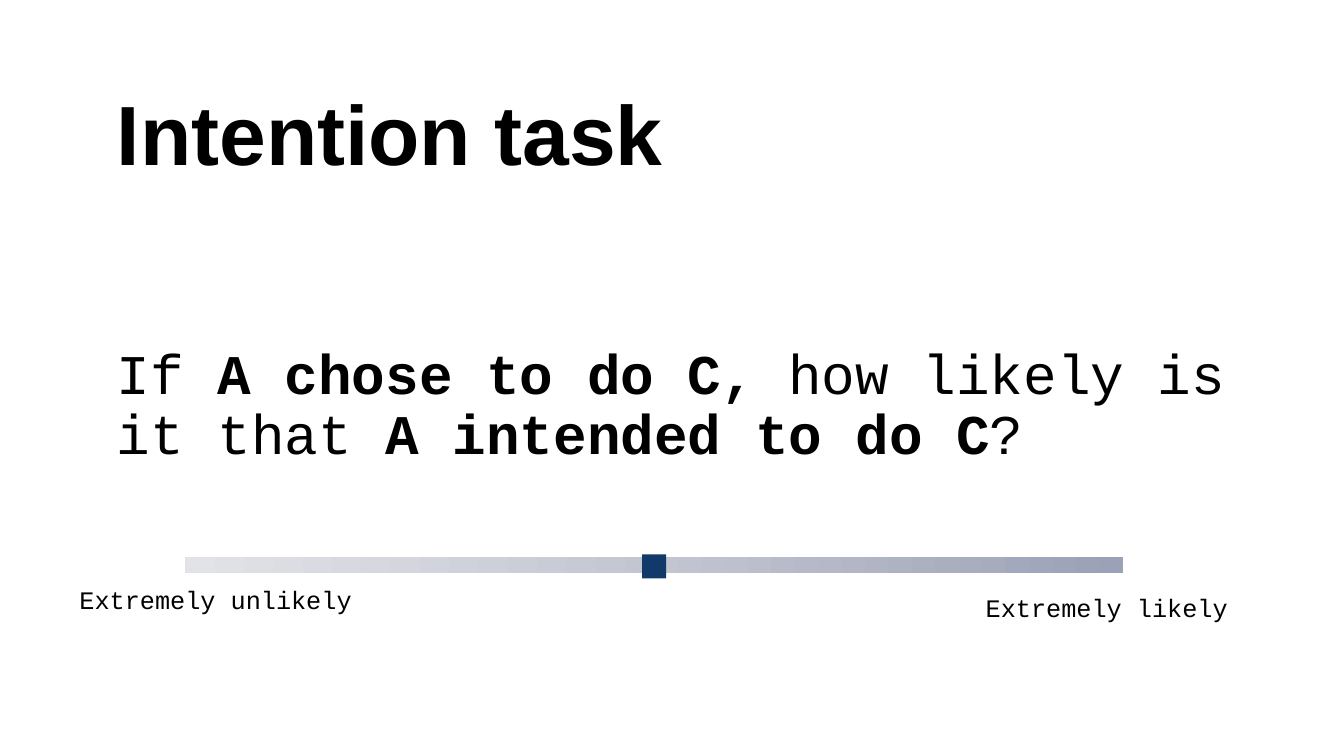
from copy import deepcopy
from dataclasses import dataclass

from pptx import Presentation
from pptx.dml.color import RGBColor
from pptx.enum.shapes import MSO_SHAPE
from pptx.enum.text import MSO_ANCHOR
from pptx.util import Inches, Pt


@dataclass(frozen=True)
class Theme:
    heading_font: str = "Arial"
    body_font: str = "Courier New"
    heading_size: int = 60
    question_size: int = 40
    label_size: int = 18
    text: str = "000000"
    background: str = "FFFFFF"
    marker: str = "113A6B"
    scale: tuple = ("9BA1B6", "C3C6D1", "E2E3E8")


def add_text(paragraph, text, *, font, size, color, bold=False):
    run = paragraph.add_run()
    run.text = text
    run.font.name = font
    run.font.size = Pt(size)
    run.font.bold = bold
    run.font.color.rgb = RGBColor.from_string(color)


class SlideBuilder:
    columns = 100
    rows = 100

    def __init__(self, presentation, theme):
        self.theme = theme
        self.column = presentation.slide_width / self.columns
        self.row = presentation.slide_height / self.rows
        self.slide = presentation.slides.add_slide(presentation.slide_layouts[6])
        background = self.slide.background.fill
        background.solid()
        background.fore_color.rgb = RGBColor.from_string(theme.background)

    def place(self, left, top, width, height):
        return (round(left * self.column), round(top * self.row),
                round(width * self.column), round(height * self.row))

    def text_box(self, area, pieces, *, font, size,
                 anchor=MSO_ANCHOR.BOTTOM, line_spacing=0.9):
        frame = self.slide.shapes.add_textbox(*self.place(*area)).text_frame
        frame.word_wrap = True
        frame.vertical_anchor = anchor
        paragraph = frame.paragraphs[0]
        paragraph.line_spacing = line_spacing
        for text, bold in pieces:
            add_text(paragraph, text, font=font, size=size,
                     color=self.theme.text, bold=bold)

    def rectangle(self, area):
        shape = self.slide.shapes.add_shape(MSO_SHAPE.RECTANGLE, *self.place(*area))
        shape.shadow.inherit = False
        shape.line.fill.background()
        return shape

    def solid_rectangle(self, area, color):
        fill = self.rectangle(area).fill
        fill.solid()
        fill.fore_color.rgb = RGBColor.from_string(color)

    def gradient_rectangle(self, area, colors, angle):
        shape = self.rectangle(area)
        shape.fill.gradient()
        shape.fill.gradient_angle = angle
        last_stop = shape._element.xpath(".//a:gs")[-1]
        for _ in colors[2:]:
            last_stop.addnext(deepcopy(last_stop))
        for index, stop in enumerate(shape.fill.gradient_stops):
            stop.position = index / (len(colors) - 1)
            stop.color.rgb = RGBColor.from_string(colors[index])


def main():
    presentation = Presentation()
    presentation.slide_width = Inches(13.33)
    presentation.slide_height = Inches(7.5)
    theme = Theme()
    builder = SlideBuilder(presentation, theme)

    question = [
        ("If", False),
        (" A chose to do C, ", True),
        ("how likely is it that ", False),
        ("A intended to do C", True),
        ("?", False),
    ]
    builder.text_box((7.95, 27.47, 86.05, 34.93), question,
                     font=theme.body_font, size=theme.question_size)
    builder.text_box((7.95, 10.13, 77.1, 14.8), [("Intention task", True)],
                     font=theme.heading_font, size=theme.heading_size,
                     anchor=MSO_ANCHOR.TOP, line_spacing=1.0)

    bar_left, bar_width = 13.8, 69.75
    marker_width = 1.8
    marker_left = bar_left + (bar_width - marker_width) / 2
    builder.gradient_rectangle((bar_left, 73.73, bar_width, 2.13), theme.scale, 180)
    builder.solid_rectangle((marker_left, 73.33, marker_width, 3.2), theme.marker)

    labels = [
        ("Extremely unlikely", 5.17, 74.93),
        ("Extremely likely", 72.6, 76),
    ]
    for text, left, top in labels:
        builder.text_box((left, top, 22, 7.07), [(text, False)],
                         font=theme.body_font, size=theme.label_size)

    presentation.save("out.pptx")


if __name__ == "__main__":
    main()
